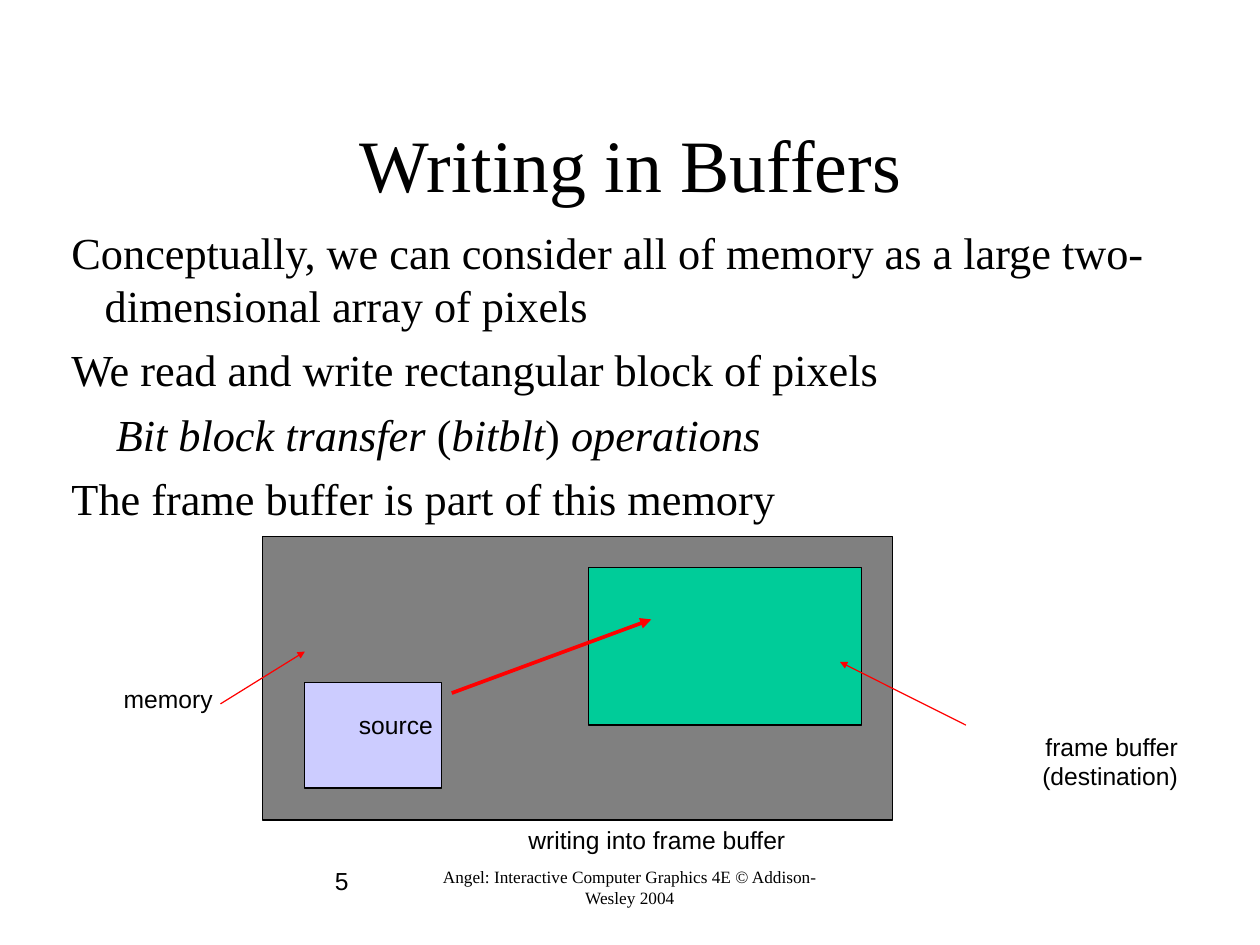
from dataclasses import dataclass, field

from lxml.etree import SubElement
from pptx import Presentation
from pptx.dml.color import RGBColor
from pptx.enum.shapes import MSO_CONNECTOR, MSO_SHAPE
from pptx.enum.text import MSO_ANCHOR, PP_ALIGN
from pptx.oxml.ns import qn
from pptx.util import Cm, Pt

BLACK = RGBColor(0x00, 0x00, 0x00)
GRAY = RGBColor(0x80, 0x80, 0x80)
GREEN = RGBColor(0x00, 0xCC, 0x99)
LILAC = RGBColor(0xCC, 0xCC, 0xFF)
RED = RGBColor(0xFF, 0x00, 0x00)

SERIF = "Times New Roman"
SANS = "Arial"
Area = tuple[float, float, float, float]


@dataclass
class Line:
    """One paragraph; every second run is italic when slant is set."""
    runs: list[str]
    left: float = 0
    hang: float = 0
    slant: bool = False


@dataclass
class Text:
    area: Area
    lines: list[Line]
    size: float
    face: str
    align: PP_ALIGN
    pad: tuple[float, float] = (0.25, 0.13)
    gap: float = 0
    frame: dict = field(default_factory=lambda: {"word_wrap": True})


@dataclass
class Block:
    area: Area
    fill: RGBColor


@dataclass
class Arrow:
    start: tuple[float, float]
    end: tuple[float, float]
    width: float


def apply(target: object, values: dict) -> None:
    for name, value in values.items():
        setattr(target, name, value)


def label(area: Area, *rows: str) -> Text:
    return Text(area, [Line([row]) for row in rows], 20, SANS, PP_ALIGN.RIGHT,
                (0.36, 0.18), frame={"word_wrap": False})


def draw_text(slide, text: Text) -> None:
    frame = slide.shapes.add_textbox(*map(Cm, text.area)).text_frame
    side, edge = map(Cm, text.pad)
    apply(frame, {"margin_left": side, "margin_right": side,
                  "margin_top": edge, "margin_bottom": edge, **text.frame})
    for index, line in enumerate(text.lines):
        para = frame.add_paragraph() if index else frame.paragraphs[0]
        para.alignment = text.align
        if index and text.gap:
            para.space_before = Pt(text.gap)
        if line.left:
            props = para._p.get_or_add_pPr()
            props.set("marL", str(Cm(line.left)))
            props.set("indent", str(Cm(-line.hang)))
        for spot, part in enumerate(line.runs):
            run = para.add_run()
            run.text = part
            apply(run.font, {"name": text.face, "size": Pt(text.size),
                             "italic": line.slant and spot % 2 == 0})
            run.font.color.rgb = BLACK


def draw_block(slide, block: Block) -> None:
    shape = slide.shapes.add_shape(MSO_SHAPE.RECTANGLE, *map(Cm, block.area))
    shape.shadow.inherit = False
    shape.fill.solid()
    shape.fill.fore_color.rgb = block.fill
    shape.line.color.rgb = BLACK
    shape.line.width = Pt(1)


def draw_arrow(slide, arrow: Arrow) -> None:
    link = slide.shapes.add_connector(
        MSO_CONNECTOR.STRAIGHT, *map(Cm, arrow.start + arrow.end))
    link.line.color.rgb = RED
    link.line.width = Pt(arrow.width)
    SubElement(link.line._ln, qn("a:tailEnd"), type="triangle")
    SubElement(link._element.spPr, qn("a:effectLst"))


# Title, body and footer
TEXTS = [
    Text((2.72, 24.69, 7.52, 1.8), [Line(["5"])], 20, SANS, PP_ALIGN.RIGHT),
    Text((12.34, 24.69, 11.43, 1.8),
         [Line(["Angel: Interactive Computer Graphics 4E © Addison-Wesley 2004"])],
         14, SERIF, PP_ALIGN.CENTER),
    Text((2.72, 2.41, 30.71, 4.52), [Line(["Writing in Buffers"])],
         60, SERIF, PP_ALIGN.CENTER,
         frame={"word_wrap": True, "vertical_anchor": MSO_ANCHOR.MIDDLE}),
    Text((1.8, 6.32, 32.51, 18.67), [
        Line(["Conceptually, we can consider all of memory as a large "
              "two-dimensional array of pixels"], 0.95, 0.95),
        Line(["We read and write rectangular block of pixels"], 0.95, 0.95),
        Line(["Bit block transfer", " (", "bitblt", ") ", "operations"],
             2.06, 0.79, True),
        Line(["The frame buffer is part of this memory"], 0.95, 0.95),
    ], 36, SERIF, PP_ALIGN.LEFT, gap=9),
]

# Memory, frame buffer and source
BLOCKS = [
    Block((7.52, 15.37, 18.06, 8.13), GRAY),
    Block((16.87, 16.26, 7.82, 4.52), GREEN),
    Block((8.74, 19.56, 3.91, 3.02), LILAC),
]

ARROWS = [
    Arrow((27.69, 20.78), (24.08, 18.97), 1),
    Arrow((12.95, 19.86), (18.67, 17.75), 3),
    Arrow((6.32, 20.17), (8.74, 18.67), 1),
]

LABELS = [
    label((29.13, 20.78, 5, 2.06), "frame buffer", "(destination)"),
    label((14.38, 23.47, 8.5, 1.22), "writing into frame buffer"),
    label((9.47, 20.17, 3.3, 1.22), "source"),
    label((2.86, 19.43, 3.6, 1.22), "memory"),
]


def main() -> None:
    deck = Presentation()
    apply(deck, {"slide_width": Cm(36.12), "slide_height": Cm(27.08)})
    slide = deck.slides.add_slide(deck.slide_layouts[6])
    for draw, items in ((draw_text, TEXTS), (draw_block, BLOCKS),
                        (draw_arrow, ARROWS), (draw_text, LABELS)):
        for item in items:
            draw(slide, item)
    deck.save("out.pptx")


if __name__ == "__main__":
    main()
